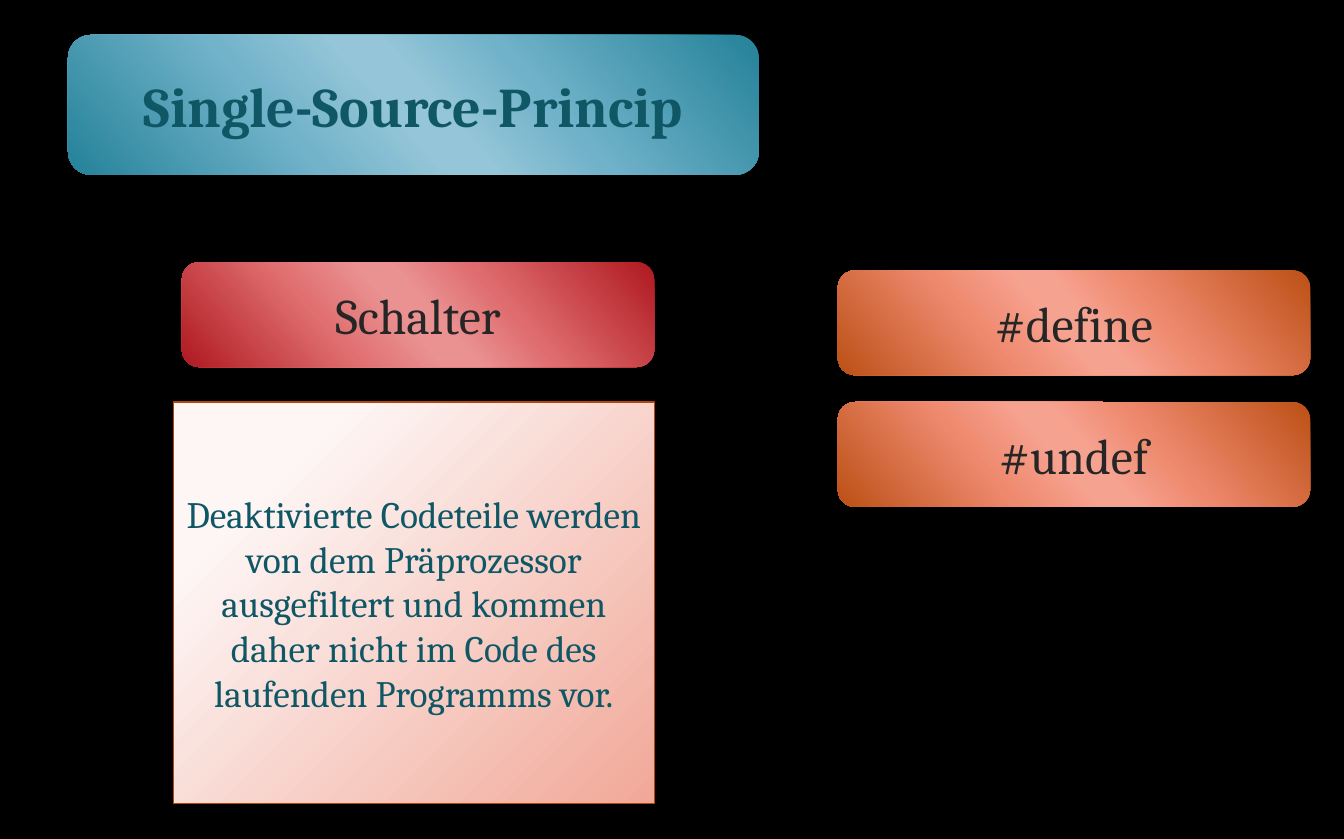
from lxml.etree import SubElement
from pptx import Presentation
from pptx.dml.color import RGBColor
from pptx.enum.shapes import MSO_SHAPE as Preset
from pptx.enum.text import MSO_ANCHOR as Anchor, PP_ALIGN as Align
from pptx.oxml.ns import qn
from pptx.util import Pt


def color(value):
    return RGBColor.from_string(value)


def set_gradient(shape, stops, tag, attributes):
    """Fill the shape with any number of stops; return the shading element."""
    shape.fill.gradient()
    gradient = shape._element.spPr.find(qn("a:gradFill"))
    for child in list(gradient):
        gradient.remove(child)
    stop_list = SubElement(gradient, qn("a:gsLst"))
    for position, value in stops:
        stop = SubElement(stop_list, qn("a:gs"), pos=str(position * 1000))
        SubElement(stop, qn("a:srgbClr"), val=value)
    return SubElement(gradient, qn(tag), attributes)


# Slide with black background
presentation = Presentation()
presentation.slide_width, presentation.slide_height = Pt(864.72), Pt(540)
slide = presentation.slides.add_slide(presentation.slide_layouts[6])
slide.background.fill.solid()
slide.background.fill.fore_color.rgb = color("000000")

# Glossy bands: edge, shade, highlight, highlight, shade, edge
POSITIONS = (0, 33, 47, 53, 68, 100)
TEAL = ("248299", "70B2C9", "94C5D8", "94C5D8", "72B3CA", "248299")
RED = ("AF1920", "DF6D6F", "EA9192", "EA9192", "E06F70", "AF1920")
ORANGE = ("BC5016", "EE886C", "F6A290", "F6A290", "EE896E", "BC5016")
CARD_STOPS = ((20, "FDF6F5"), (100, "F1A898"))

TITLE_FONT = {"size": Pt(36), "bold": True}
LABEL_FONT = {"size": Pt(32)}
CARD_FONT = {"size": Pt(24)}
BLUE_TEXT, DARK_TEXT = "105766", "262626"
EXPLANATION = ("Deaktivierte Codeteile werden von dem Präprozessor ausgefiltert "
               "und kommen daher nicht im Code des laufenden Programms vor.")

# Text, box (left, top, width, height), band colours, font, text colour
boxes = [
    ("Single-Source-Princip", (43.75, 22.5, 444.5, 90), TEAL, TITLE_FONT, BLUE_TEXT),
    ("Schalter", (117, 168.75, 304, 67.5), RED, LABEL_FONT, DARK_TEXT),
    (EXPLANATION, (111.5, 258.75, 309.5, 258.5), None, CARD_FONT, BLUE_TEXT),
    ("#define", (539, 174, 304, 67.5), ORANGE, LABEL_FONT, DARK_TEXT),
    ("#undef", (539, 258.75, 304, 67.5), ORANGE, LABEL_FONT, DARK_TEXT),
]

for text, box, band, font, text_color in boxes:
    preset = Preset.ROUNDED_RECTANGLE if band else Preset.RECTANGLE
    shape = slide.shapes.add_shape(preset, *map(Pt, box))
    shape.shadow.inherit = False

    # Fill and outline
    if band:
        set_gradient(shape, zip(POSITIONS, band), "a:lin",
                     {"ang": str(139 * 60000), "scaled": "0"})
        shape.line.fill.background()
    else:
        shading = set_gradient(shape, CARD_STOPS, "a:path", {"path": "circle"})
        SubElement(shading, qn("a:fillToRect"),
                   l="-15000", t="-15000", r="115000", b="115000")
        shape.line.color.rgb = color("B2460C")
        shape.line.width = Pt(0.75)

    # Centred text
    frame = shape.text_frame
    frame.word_wrap = True
    frame.vertical_anchor = Anchor.MIDDLE
    paragraph = frame.paragraphs[0]
    paragraph.alignment = Align.CENTER
    run = paragraph.add_run()
    run.text = text
    run.font.name = "Cambria"
    run.font.color.rgb = color(text_color)
    for name, value in font.items():
        setattr(run.font, name, value)

presentation.save("out.pptx")
